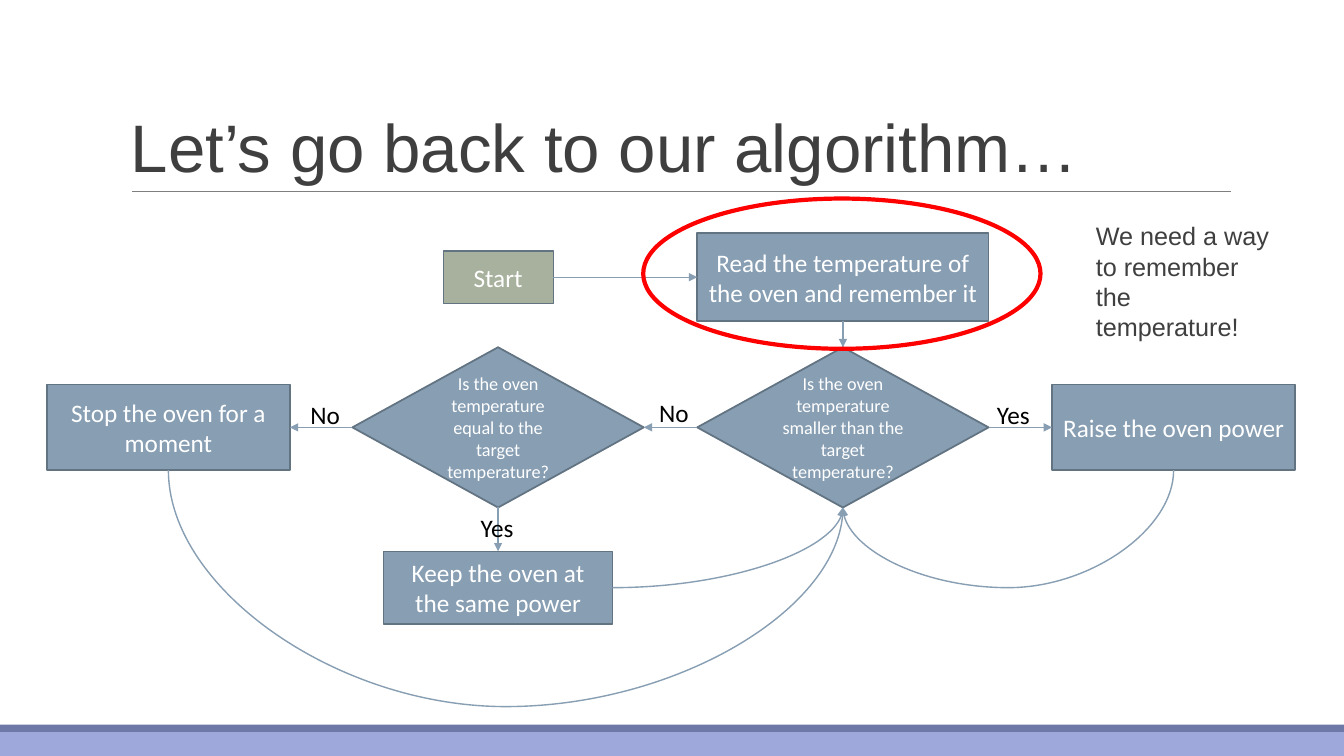
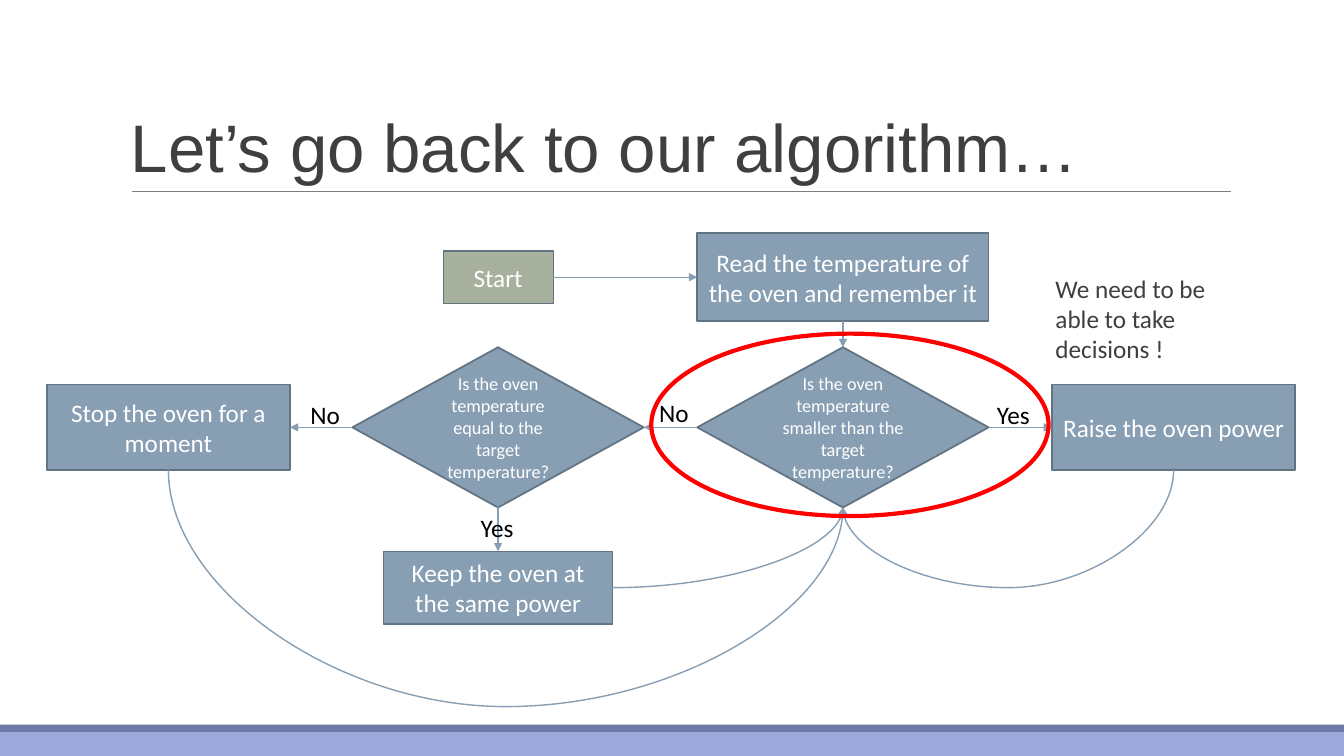
from pptx import Presentation
from pptx import util as u
from pptx.dml.color import RGBColor
from pptx.enum import shapes, text
from pptx.oxml import ns, xmlchemy

# Colours
WHITE = RGBColor(0xFF, 0xFF, 0xFF)
BLACK = RGBColor(0x00, 0x00, 0x00)
DARK = RGBColor(0x3F, 0x3F, 0x3F)
RULE = RGBColor(0x7F, 0x7F, 0x7F)
BAND = RGBColor(0x9F, 0xA8, 0xDA)
BAND_EDGE = RGBColor(0x6F, 0x79, 0xA8)
STEEL = RGBColor(0x87, 0x9E, 0xB3)
OUTLINE = RGBColor(0x62, 0x73, 0x82)
SAGE = RGBColor(0x94, 0xA0, 0x88)
RED = RGBColor(0xFF, 0x00, 0x00)

# Text formats
TITLE = {"name": "Arial", "size": u.Pt(48), "color": DARK}
STEP = {"name": "Calibri", "size": u.Pt(18), "color": WHITE}
QUESTION = {**STEP, "size": u.Pt(13)}
ANSWER = {**STEP, "color": BLACK}
NOTE = {**STEP, "color": DARK}
NOTE_ARIAL = {**NOTE, "name": "Arial"}

# Flowchart grid: column and row centres
FAR_LEFT, LEFT, RIGHT, FAR_RIGHT = 1.67, 4.94, 8.36, 11.64
TOP_ROW, MIDDLE_ROW, LOW_ROW = 2.75, 4.24, 5.83
BOX = shapes.MSO_SHAPE.FLOWCHART_PROCESS
DIAMOND = shapes.MSO_SHAPE.FLOWCHART_DECISION
TOP_SIDE, LEFT_SIDE, BOTTOM_SIDE, RIGHT_SIDE = range(4)

# name: (preset, centre x, centre y, width, height, wording)
NODES = {
    "start": (BOX, LEFT, TOP_ROW, 1.09, 0.52, "Start"),
    "read": (BOX, RIGHT, TOP_ROW, 2.89, 0.87,
             "Read the temperature of the oven and remember it"),
    "smaller": (DIAMOND, RIGHT, MIDDLE_ROW, 2.89, 1.59,
                "Is the oven temperature smaller than the target temperature?"),
    "raise": (BOX, FAR_RIGHT, MIDDLE_ROW, 2.41, 0.85, "Raise the oven power"),
    "equal": (DIAMOND, LEFT, MIDDLE_ROW, 2.89, 1.59,
              "Is the oven temperature equal to the target temperature?"),
    "stop": (BOX, FAR_LEFT, MIDDLE_ROW, 2.41, 0.85, "Stop the oven for a moment"),
    "keep": (BOX, LEFT, LOW_ROW, 2.27, 0.72, "Keep the oven at the same power"),
}
ARROWS = [
    ("start", RIGHT_SIDE, "read", LEFT_SIDE),
    ("read", BOTTOM_SIDE, "smaller", TOP_SIDE),
    ("smaller", RIGHT_SIDE, "raise", LEFT_SIDE),
    ("smaller", LEFT_SIDE, "equal", RIGHT_SIDE),
    ("equal", LEFT_SIDE, "stop", RIGHT_SIDE),
    ("equal", BOTTOM_SIDE, "keep", TOP_SIDE),
]
# from, side, preset, rotation, flipped, lowest point of the loop
LOOPS = [
    ("keep", RIGHT_SIDE, "curvedConnector2", 180, True, None),
    ("stop", BOTTOM_SIDE, "curvedConnector3", 270, True, 7.01),
    ("raise", BOTTOM_SIDE, "curvedConnector3", 90, False, LOW_ROW),
]
ANSWERS = [
    ("Yes", 9.79, 3.91, 0.53), ("Yes", 4.67, 5.03, 0.53),
    ("No", 6.44, 3.89, 0.5), ("No", 2.98, 3.91, 0.5),
]
# highlight frame, note frame, note wording, note format
SLIDES = [
    ((6.38, 1.97, 3.94, 1.49), (10.77, 2.14, 1.96, 1.31),
     "We need a way to remember the temperature!", NOTE_ARIAL),
    ((6.46, 3.31, 3.94, 1.81), (10.37, 2.66, 1.96, 1.01),
     "We need to be able to take decisions !", NOTE),
]


def inches(*lengths):
    return [u.Inches(length) for length in lengths]


def write(shape, wording, font_format, align=text.PP_ALIGN.LEFT):
    paragraph = shape.text_frame.paragraphs[0]
    paragraph.alignment = align
    run = paragraph.add_run()
    run.text = wording
    for key, value in font_format.items():
        if key == "color":
            run.font.color.rgb = value
        else:
            setattr(run.font, key, value)
    return paragraph


def add_shape(slide, preset, frame, fill=None, line=None, width=1.25):
    shape = slide.shapes.add_shape(preset, *inches(*frame))
    shape.shadow.inherit = False
    if fill is None:
        shape.fill.background()
    else:
        shape.fill.solid()
        shape.fill.fore_color.rgb = fill
    if line is None:
        shape.line.fill.background()
    else:
        shape.line.color.rgb = line
        shape.line.width = u.Pt(width)
    return shape


def add_text(slide, frame, wording, font_format, **frame_format):
    box = slide.shapes.add_textbox(*inches(*frame))
    settings = {"word_wrap": True, **frame_format}
    for key, value in settings.items():
        setattr(box.text_frame, key, value)
    return write(box, wording, font_format)


def add_line(slide, kind, color, width, ends=(0, 0, 0, 0), arrow=False):
    connector = slide.shapes.add_connector(kind, *inches(*ends))
    connector.line.color.rgb = color
    connector.line.width = u.Pt(width)
    if arrow:
        head = xmlchemy.OxmlElement("a:tailEnd")
        head.set("type", "triangle")
        connector.line._get_or_add_ln().append(head)
    connector._element.spPr.append(xmlchemy.OxmlElement("a:effectLst"))
    return connector


def add_node(slide, name):
    preset, x, y, width, height, wording = NODES[name]
    start = name == "start"
    frame = (x - width / 2, y - height / 2, width, height)
    shape = add_shape(slide, preset, frame, SAGE if start else STEEL,
                      OUTLINE, 0.75 if start else 1.25)
    if start:
        alpha = xmlchemy.OxmlElement("a:alpha")
        alpha.set("val", "82000")
        shape._element.spPr.find(".//" + ns.qn("a:srgbClr")).append(alpha)
    shape.text_frame.word_wrap = True
    shape.text_frame.vertical_anchor = text.MSO_ANCHOR.MIDDLE
    write(shape, wording, QUESTION if preset == DIAMOND else STEP, text.PP_ALIGN.CENTER)
    return shape


def join(slide, kind, first, first_side, second, second_side):
    connector = add_line(slide, kind, STEEL, 1, arrow=True)
    connector.begin_connect(first, first_side)
    connector.end_connect(second, second_side)
    return connector


def add_loop(slide, first, side, second, preset, rotation, flipped, lowest):
    connector = join(slide, shapes.MSO_CONNECTOR.CURVE, first, side, second, BOTTOM_SIDE)
    begin_y, end_y = connector.begin_y, connector.end_y
    # A quarter turn swaps the sides of the frame about its centre
    if rotation % 180:
        left, top = connector.left, connector.top
        width, height = connector.width, connector.height
        connector.left = left + (width - height) // 2
        connector.top = top + (height - width) // 2
        connector.width, connector.height = height, width
    properties = connector._element.spPr
    transform = properties.find(ns.qn("a:xfrm"))
    for key, value in {"rot": rotation * 60000, "flipH": int(flipped), "flipV": 0}.items():
        transform.set(key, str(value))
    geometry = properties.find(ns.qn("a:prstGeom"))
    geometry.set("prst", preset)
    if lowest is not None:
        bend = (u.Inches(lowest) - begin_y) / (end_y - begin_y)
        guide = xmlchemy.OxmlElement("a:gd")
        guide.set("name", "adj1")
        guide.set("fmla", f"val {round(bend * 100000)}")
        geometry.find(ns.qn("a:avLst")).append(guide)


def add_base(slide):
    # Bottom bands, title rule and title
    rectangle = shapes.MSO_SHAPE.RECTANGLE
    add_shape(slide, rectangle, (0, 7.25, 13.33, 0.25), BAND)
    add_shape(slide, rectangle, (0, 7.19, 13.33, 0.07), BAND_EDGE)
    add_line(slide, shapes.MSO_CONNECTOR.STRAIGHT, RULE, 0.75, (1.31, 1.9, 12.21, 1.9))
    title = add_text(slide, (1.2, 0.31, 11, 1.59), "Let’s go back to our algorithm…",
                     TITLE, vertical_anchor=text.MSO_ANCHOR.BOTTOM)
    title.line_spacing = 0.85


def add_flowchart(slide):
    nodes = {name: add_node(slide, name) for name in NODES}
    for first, first_side, second, second_side in ARROWS:
        join(slide, shapes.MSO_CONNECTOR.STRAIGHT,
             nodes[first], first_side, nodes[second], second_side)
    for first, side, *route in LOOPS:
        add_loop(slide, nodes[first], side, nodes["smaller"], *route)
    for wording, left, top, width in ANSWERS:
        add_text(slide, (left, top, width, 0.4), wording, ANSWER, word_wrap=False,
                 auto_size=text.MSO_AUTO_SIZE.SHAPE_TO_FIT_TEXT)


def main():
    presentation = Presentation()
    presentation.slide_width, presentation.slide_height = inches(13.33, 7.5)
    for highlight, note_frame, note, note_format in SLIDES:
        slide = presentation.slides.add_slide(presentation.slide_layouts[6])
        add_base(slide)
        add_flowchart(slide)
        add_shape(slide, shapes.MSO_SHAPE.OVAL, highlight, line=RED, width=3)
        add_text(slide, note_frame, note, note_format,
                 auto_size=text.MSO_AUTO_SIZE.SHAPE_TO_FIT_TEXT)
    presentation.save("out.pptx")


if __name__ == "__main__":
    main()
